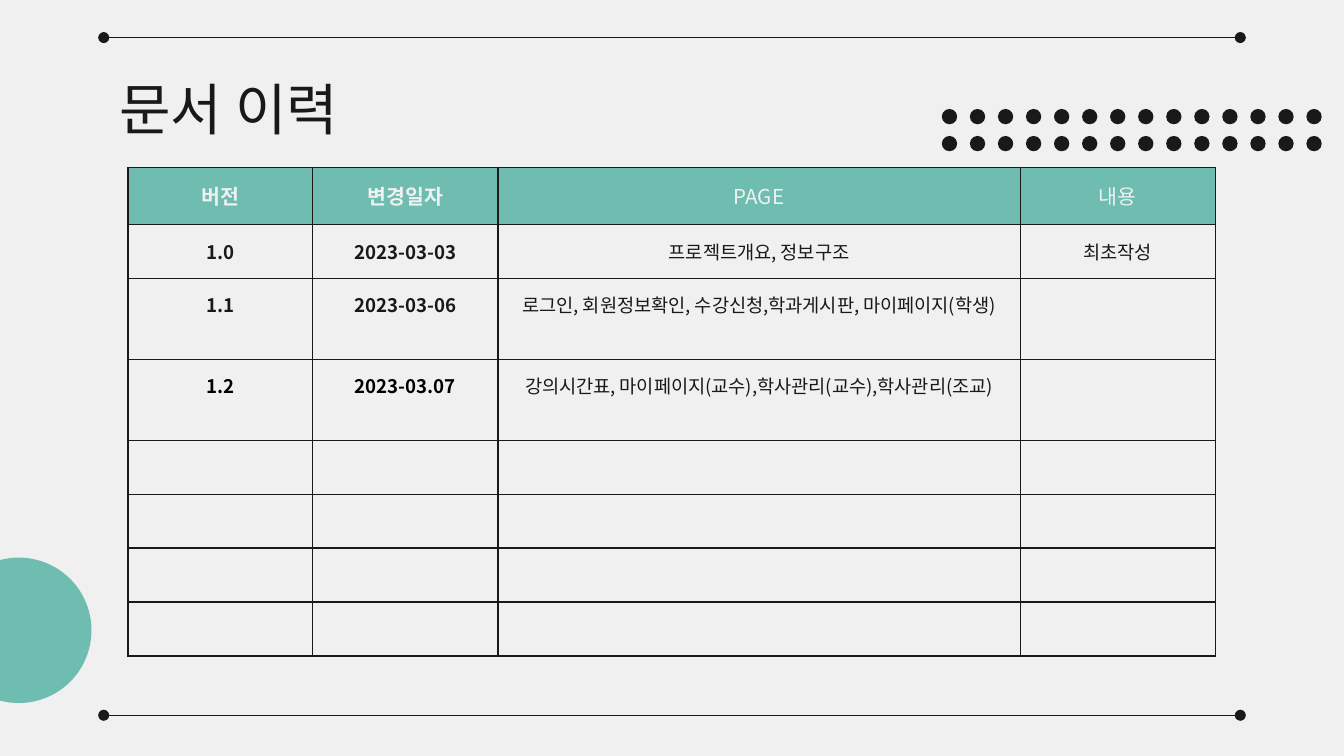
from dataclasses import dataclass

from lxml import etree
from pptx import Presentation
from pptx.dml.color import RGBColor
from pptx.enum.shapes import MSO_CONNECTOR, MSO_SHAPE
from pptx.enum.text import MSO_ANCHOR, PP_ALIGN
from pptx.oxml.ns import qn
from pptx.util import Cm, Pt

OVAL = MSO_SHAPE.OVAL
LINE = MSO_CONNECTOR.STRAIGHT
LEFT, CENTER = PP_ALIGN.LEFT, PP_ALIGN.CENTER
MIDDLE = MSO_ANCHOR.MIDDLE

FONT = "Noto Sans CJK KR"
PAPER = RGBColor(0xF0, 0xF0, 0xF0)
INK = RGBColor(0x19, 0x19, 0x19)
TEAL = RGBColor(0x6E, 0xBD, 0xB0)
BLACK = RGBColor(0, 0, 0)

PAD = Cm(0.25)
EDGE = Pt(0.75)


@dataclass
class Row:
    height: float
    texts: tuple[str, ...] = ("", "", "", "")
    size: float = 10
    key: RGBColor = INK  # colour of the two bold columns
    body: RGBColor = INK
    fill: RGBColor | None = None


@dataclass
class Disc:
    left: float
    top: float
    size: float
    color: RGBColor


WIDTHS = (3.49, 3.5, 9.87, 3.69)
ROWS = [
    Row(1.08, ("버전", "변경일자", "PAGE", "내용"), 11, PAPER, PAPER, TEAL),
    Row(1.02, ("1.0", "2023-03-03", "프로젝트개요, 정보구조", "최초작성")),
    Row(1.53, ("1.1", "2023-03-06",
               "로그인, 회원정보확인, 수강신청,학과게시판, 마이페이지(학생)", "")),
    Row(1.53, ("1.2", "2023-03.07",
               "강의시간표, 마이페이지(교수),학사관리(교수),학사관리(조교)", ""), key=BLACK),
    *[Row(1.02) for _ in range(4)],
]


def write(frame, text: str, *, size: float, color: RGBColor,
          bold: bool = False, align=LEFT, after: float = 0) -> None:
    para = frame.paragraphs[0]
    para.alignment = align
    para.space_after = Pt(after)
    if not text:
        # An empty cell still needs its text size to keep the row height
        etree.SubElement(para._p, qn("a:endParaRPr"), sz=str(int(size * 100)))
        return
    run = para.add_run()
    run.text = text
    font = run.font
    font.name, font.size, font.bold = FONT, Pt(size), bold
    font.color.rgb = color
    etree.SubElement(run._r.get_or_add_rPr(), qn("a:ea"), typeface=FONT)


def add_disc(shapes, disc: Disc) -> None:
    shape = shapes.add_shape(OVAL, Cm(disc.left), Cm(disc.top),
                             Cm(disc.size), Cm(disc.size))
    shape.shadow.inherit = False
    shape.fill.solid()
    shape.fill.fore_color.rgb = disc.color
    shape.line.fill.background()


def add_rule(shapes, y: float) -> None:
    rule = shapes.add_connector(LINE, Cm(1.96), Cm(y), Cm(23.44), Cm(y))
    rule.line.color.rgb = INK
    rule.line.width = EDGE
    for end in ("a:headEnd", "a:tailEnd"):
        etree.SubElement(rule.line._ln, qn(end), type="oval")
    etree.SubElement(rule._element.spPr, qn("a:effectLst"))


def add_edges(cell) -> None:
    props = cell._tc.get_or_add_tcPr()
    for side in ("L", "R", "T", "B"):
        line = etree.SubElement(props, qn(f"a:ln{side}"), w=str(int(EDGE)))
        fill = etree.SubElement(line, qn("a:solidFill"))
        etree.SubElement(fill, qn("a:srgbClr"), val=str(INK))


def fill_cell(cell, row: Row, col: int) -> None:
    key = col < 2
    cell.margin_left = cell.margin_right = PAD
    cell.margin_top = cell.margin_bottom = PAD
    add_edges(cell)
    if row.fill is None:
        cell.fill.background()
    else:
        cell.fill.solid()
        cell.fill.fore_color.rgb = row.fill
    write(cell.text_frame, row.texts[col], size=row.size,
          color=row.key if key else row.body, bold=key,
          align=CENTER, after=12 if key else 16)


def add_log(shapes) -> None:
    table = shapes.add_table(
        len(ROWS), len(WIDTHS), Cm(2.42), Cm(3.16), Cm(sum(WIDTHS)),
        Cm(sum(row.height for row in ROWS))).table
    table.first_row = table.horz_banding = False
    for col, width in enumerate(WIDTHS):
        table.columns[col].width = Cm(width)
    for num, row in enumerate(ROWS):
        table.rows[num].height = Cm(row.height)
        for col in range(len(WIDTHS)):
            fill_cell(table.cell(num, col), row, col)


def add_title(shapes, text: str) -> None:
    box = shapes.add_textbox(Cm(2.01), Cm(1.24), Cm(21.41), Cm(1.6))
    frame = box.text_frame
    frame.word_wrap = True
    frame.vertical_anchor = MIDDLE
    frame.margin_left = frame.margin_right = PAD
    frame.margin_top = frame.margin_bottom = PAD
    write(frame, text, size=30, color=INK)


def main() -> None:
    deck = Presentation()
    deck.slide_width, deck.slide_height = Cm(25.4), Cm(14.29)
    slide = deck.slides.add_slide(deck.slide_layouts[6])
    slide.background.fill.solid()
    slide.background.fill.fore_color.rgb = PAPER
    shapes = slide.shapes

    # Dot grid
    dots = shapes.add_group_shape().shapes
    for col in range(14):
        for row in range(2):
            add_disc(dots, Disc(17.8 + 0.53 * col, 2.06 + 0.51 * row, 0.29, INK))

    # Title, rules and corner disc
    add_title(shapes, "문서 이력")
    for y in (0.71, 13.52):
        add_rule(shapes, y)
    add_disc(shapes, Disc(-1.02, 10.54, 2.75, TEAL))

    # Revision table
    add_log(shapes)
    deck.save("out.pptx")


if __name__ == "__main__":
    main()
